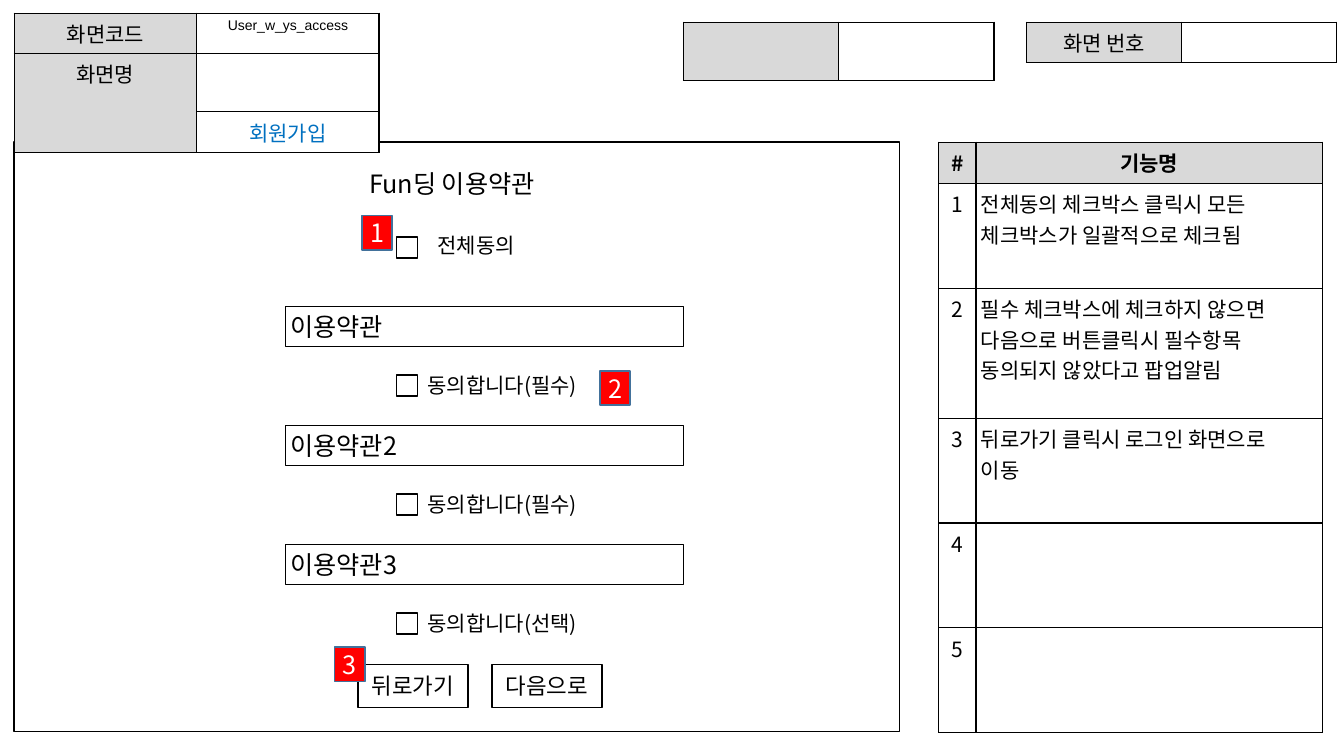
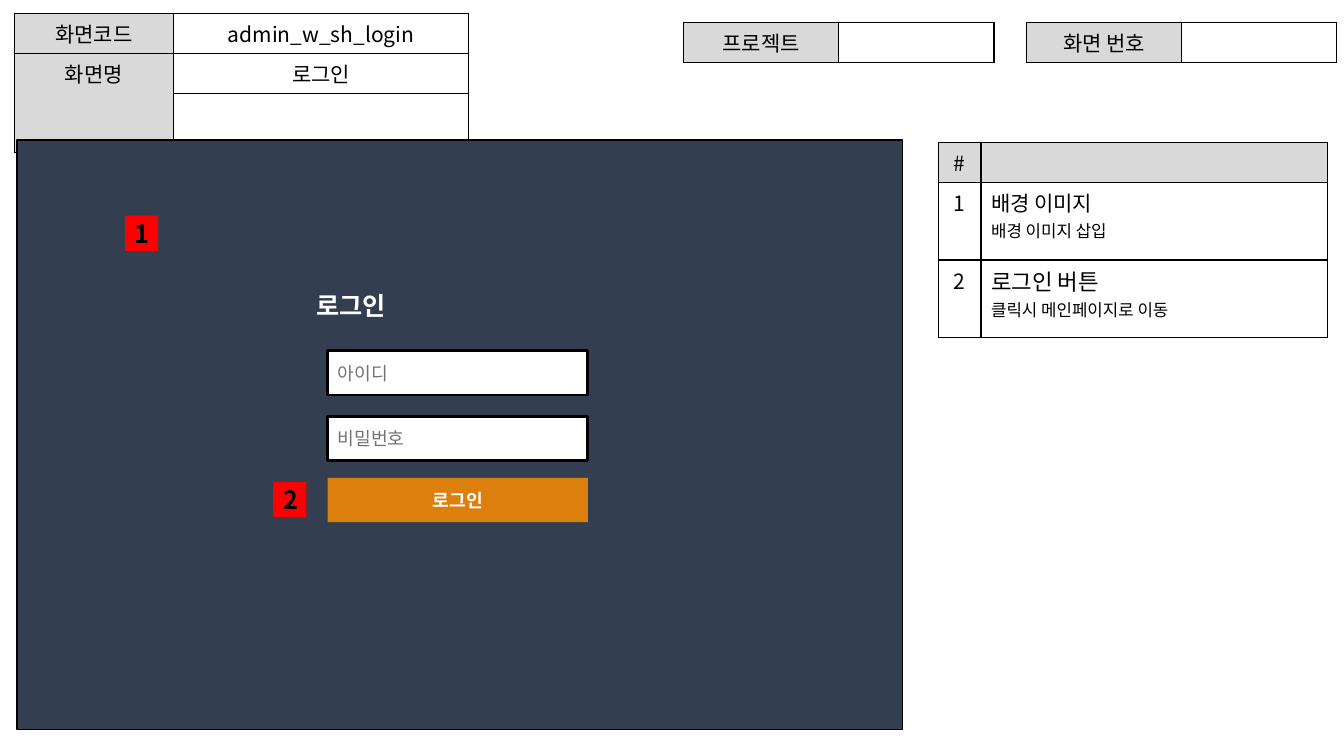
import pptx
import pptx.util
import pptx.dml.color
import pptx.enum.shapes
import pptx.enum.text
import pptx.oxml.ns
from lxml import etree

PX = 9144  # 100 px to the inch
FONT = "Noto Sans CJK KR"
HUE = {"black": "000000", "white": "FFFFFF", "gray": "D9D9D9", "blue": "0070C0", "red": "FF0000",
       "edge": "42719B", "navy": "333F50", "hint": "767171", "orange": "DC7F0D"}
RECT = pptx.enum.shapes.MSO_SHAPE.RECTANGLE
ALIGN = pptx.enum.text.PP_ALIGN
TOP = pptx.enum.text.MSO_ANCHOR.TOP
MID = pptx.enum.text.MSO_ANCHOR.MIDDLE
qn = pptx.oxml.ns.qn

# Look of each kind of part: fill, line, line width, anchor, side inset, text style
LEFT = {"align": ALIGN.LEFT}
LOOK = {
    "frame": ("white", "black", 1, TOP, 5, {}),
    "check": ("white", "black", 1, TOP, 5, {}),
    "title": (None, None, 0, TOP, 5, {"size": 18, **LEFT}),
    "label": (None, None, 0, TOP, 5, LEFT),
    "terms": (None, "black", 0.75, TOP, 5, {"size": 18, **LEFT}),
    "button": ("white", "black", 1, MID, 5, {"size": 16}),
    "badge": ("red", "edge", 1, MID, 5, {"size": 18, "hue": "white"}),
    "screen": ("navy", "black", 1, TOP, 10, {}),
    "field": ("white", "black", 2, MID, 10, {"size": 13, "hue": "hint", **LEFT}),
    "submit": ("orange", None, 0, MID, 10, {"size": 13, "hue": "white", "bold": True}),
    "head": (None, None, 0, MID, 10, {"size": 18, "hue": "white", "bold": True, **LEFT}),
    "mark": ("red", None, 0, MID, 10, {"size": 18, "bold": True}),
}


def color(hue):
    return pptx.dml.color.RGBColor.from_string(HUE[hue])


def write(frame, text, size=15, sub=None, hue="black", bold=False, align=ALIGN.CENTER, font=FONT):
    """Fill a text frame line by line; sub is the size of the lines after the first."""
    for i, line in enumerate(text.split("\n")):
        para = frame.paragraphs[0] if i == 0 else frame.add_paragraph()
        para.alignment = align
        if not line:
            etree.SubElement(para._p, qn("a:endParaRPr"), sz=str(size * 100))
            continue
        run = para.add_run()
        run.text = line
        run.font.size = pptx.util.Pt(sub if sub and i else size)
        run.font.bold = bold
        run.font.color.rgb = color(hue)
        run.font.name = font
        etree.SubElement(run.font._element, qn("a:ea"), typeface=font)


# Slide 1: sign-up terms. A grid is kind, left, top, columns, rows, side inset, cells
HALF = [154, 154]
terms = [
    ("form", 1018, 22, HALF, [40], 5, [["화면 번호", ""]]),
    ("form", 678, 22, HALF, [58], 5, [["", ""]]),
    ("list", 931, 141, [37, 344], [41, 104, 129, 104, 104, 104], 5, [
        [{"text": "#", "bold": True}, {"text": "기능명", "bold": True}],
        ["1", "전체동의 체크박스 클릭시 모든\n체크박스가 일괄적으로 체크됨"],
        ["2", "필수 체크박스에 체크하지 않으면\n다음으로 버튼클릭시 필수항목\n동의되지 않았다고 팝업알림"],
        ["3", "뒤로가기 클릭시 로그인 화면으로\n이동"],
        ["4", ""],
        ["5", ""],
    ]),
    ("frame", 14, 141, 878, 585, ""),
    ("title", 361, 162, 185, 40, "Fun딩 이용약관"),
    ("label", 429, 226, 143, 35, "전체동의"),
    ("check", 393, 235, 21, 21, ""),
]
for i, (name, need) in enumerate([("이용약관", "필수"), ("이용약관2", "필수"), ("이용약관3", "선택")]):
    y = 304 + 118 * i
    terms += [
        ("terms", 283, y, 395, 40, name),
        ("label", 419, y + 61, 212, 35, f"동의합니다({need})"),
        ("check", 393, y + 68, 21, 21, ""),
    ]
for i, name in enumerate(["뒤로가기", "다음으로"]):
    terms.append(("button", 355 + 133 * i, 659, 109, 43, name))
terms.append(("form", 14, 13, [181, 181], [40, 58, 40], 5, [
    ["화면코드", {"text": "User_w_ys_access", "size": 10, "font": "Arial", "side": 1}],
    ["화면명", ""],
    [None, {"text": "회원가입", "hue": "blue"}],
]))
for i, (x, y) in enumerate([(359, 214), (595, 368), (332, 642)], 1):
    terms.append(("badge", x, y, 30, 34, str(i)))

# Slide 2: admin login
login = [
    ("form", 14, 13, [158, 293], [40, 40, 58], 10, [
        ["화면코드", "admin_w_sh_login"],
        ["화면명", "로그인"],
        [None, ""],
    ]),
    ("form", 1018, 22, HALF, [40], 10, [["화면 번호", ""]]),
    ("form", 678, 22, HALF, [40], 10, [["프로젝트", ""]]),
    ("list", 931, 141, [42, 344], [40, 77, 77], 10, [
        ["#", ""],
        ["1", {"text": "배경 이미지\n배경 이미지 삽입", "sub": 12}],
        ["2", {"text": "로그인 버튼\n클릭시 메인페이지로 이동", "size": 16, "sub": 12}],
    ]),
    ("screen", 17, 139, 878, 585, ""),
    ("head", 304, 281, 258, 44, "로그인"),
    ("field", 325, 348, 258, 44, "아이디"),
    ("field", 325, 413, 258, 44, "비밀번호"),
    ("submit", 325, 474, 258, 44, "로그인"),
    ("mark", 124, 214, 33, 35, "1"),
    ("mark", 271, 478, 33, 35, "2"),
]

deck = pptx.Presentation()
deck.slide_width, deck.slide_height = 1333 * PX, 750 * PX

for parts in (terms, login):
    page = deck.slides.add_slide(deck.slide_layouts[6])
    for kind, x, y, *rest in parts:
        # Boxes and labels
        if kind in LOOK:
            w, h, text = rest
            fill, line, width, anchor, side, style = LOOK[kind]
            spot = [n * PX for n in (x, y, w, h)]
            if fill or line:
                box = page.shapes.add_shape(RECT, *spot)
                box.shadow.inherit = False
            else:
                box = page.shapes.add_textbox(*spot)
            if fill:
                box.fill.solid()
                box.fill.fore_color.rgb = color(fill)
            else:
                box.fill.background()
            if line:
                box.line.color.rgb = color(line)
                box.line.width = pptx.util.Pt(width)
            else:
                box.line.fill.background()
            frame = box.text_frame
            frame.word_wrap = True
            frame.vertical_anchor = anchor
            frame.margin_left = frame.margin_right = side * PX
            frame.margin_top = frame.margin_bottom = 5 * PX
            if text:
                write(frame, text, **style)
            continue

        # Grids: a form has a gray first column, a list a gray first row
        cols, rows, side, cells = rest
        table = page.shapes.add_table(len(rows), len(cols), x * PX, y * PX,
                                      sum(cols) * PX, sum(rows) * PX).table
        table.first_row = table.horz_banding = False
        for c, w in enumerate(cols):
            table.columns[c].width = w * PX
        for r, h in enumerate(rows):
            table.rows[r].height = h * PX
            for c, item in enumerate(cells[r]):
                cell = table.cell(r, c)
                style = dict(item) if isinstance(item, dict) else {"text": item or ""}
                pad = style.pop("side", side)
                cell.margin_left = cell.margin_right = pad * PX
                cell.margin_top = cell.margin_bottom = 5 * PX
                for tag in ("a:lnL", "a:lnR", "a:lnT", "a:lnB"):
                    edge = etree.SubElement(cell._tc.get_or_add_tcPr(), qn(tag), w="12192")
                    ink = etree.SubElement(edge, qn("a:solidFill"))
                    etree.SubElement(ink, qn("a:srgbClr"), val=HUE["black"])
                cell.fill.solid()
                gray = c == 0 if kind == "form" else r == 0
                cell.fill.fore_color.rgb = color("gray" if gray else "white")
                if kind == "list" and r and c:
                    style["align"] = ALIGN.LEFT
                if item is None:
                    table.cell(r - 1, c).merge(cell)
                else:
                    write(cell.text_frame, **style)

deck.save("out.pptx")
